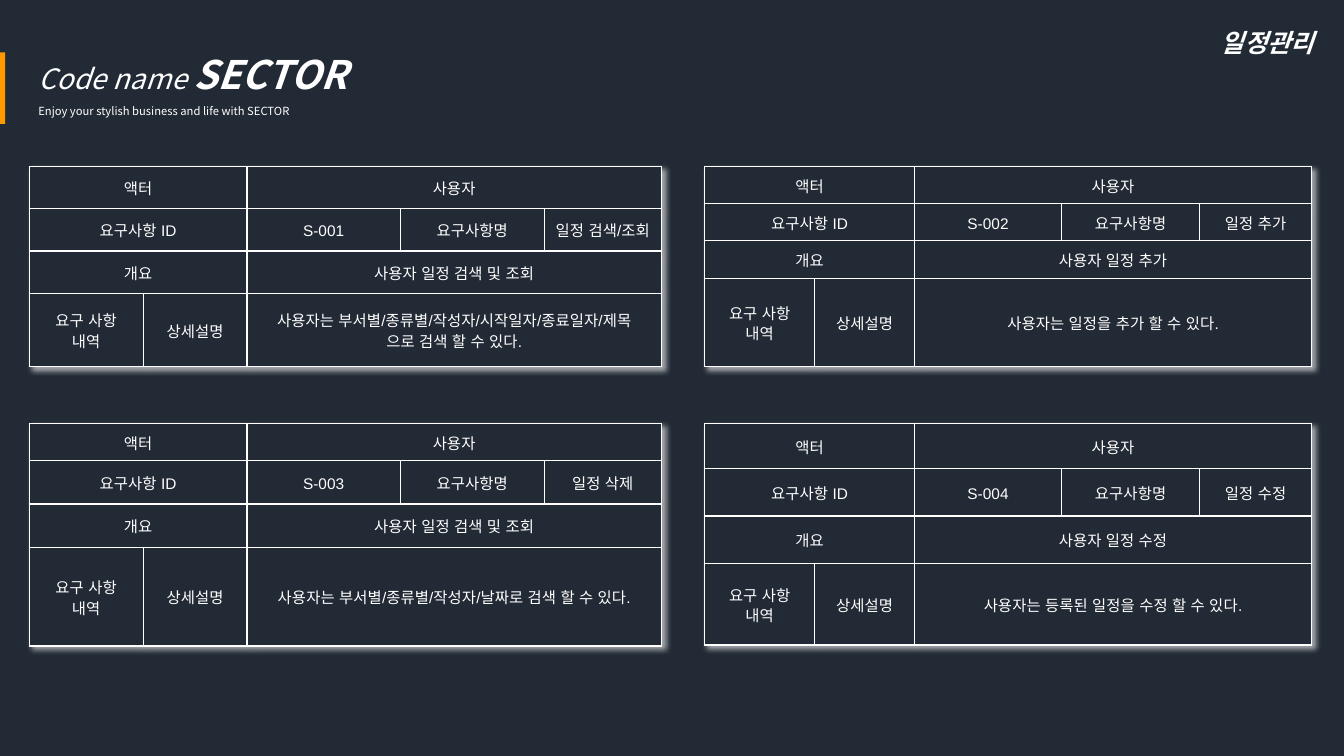
import pptx
import pptx.util
import pptx.dml.color
import pptx.enum.shapes
import pptx.enum.text
import pptx.oxml
import pptx.oxml.ns
import lxml.etree

Inches = pptx.util.Inches
Pt = pptx.util.Pt
RGBColor = pptx.dml.color.RGBColor
Align = pptx.enum.text.PP_ALIGN
Anchor = pptx.enum.text.MSO_ANCHOR

NAVY = RGBColor(0x22, 0x2A, 0x35)
ORANGE = RGBColor(0xFF, 0x99, 0x00)
WHITE = RGBColor(0xFF, 0xFF, 0xFF)
HEADING_FONT = "Noto Sans CJK KR"
TABLE_FONT = "Arial"
NAMESPACE = pptx.oxml.ns.nsdecls("a")

LEFT_COLUMNS = [1.13, 1.03, 1.52, 1.43, 1.16]
RIGHT_COLUMNS = [1.09, 0.99, 1.46, 1.37, 1.11]
LEFT, RIGHT = 0.29, 6.99
UPPER, LOWER = 1.65, 4.2

REQUIREMENTS = [
    (LEFT, UPPER, LEFT_COLUMNS, [0.42, 0.42, 0.42, 0.73],
     "S-001", "일정 검색/조회", "사용자 일정 검색 및 조회",
     ["사용자는 부서별/종류별/작성자/시작일자/종료일자/제목",
      "으로 검색 할 수 있다."]),
    (RIGHT, UPPER, RIGHT_COLUMNS, [0.37, 0.37, 0.37, 0.88],
     "S-002", "일정 추가", "사용자 일정 추가",
     ["사용자는 일정을 추가 할 수 있다."]),
    (LEFT, LOWER, LEFT_COLUMNS, [0.37, 0.43, 0.43, 0.98],
     "S-003", "일정 삭제", "사용자 일정 검색 및 조회",
     ["사용자는 부서별/종류별/작성자/날짜로 검색 할 수 있다."]),
    (RIGHT, LOWER, RIGHT_COLUMNS, [0.45, 0.47, 0.47, 0.81],
     "S-004", "일정 수정", "사용자 일정 수정",
     ["사용자는 등록된 일정을 수정 할 수 있다."]),
]


def add_span(para, text, size, font, bold=False, italic=False):
    span = para.add_run()
    span.text = text
    span.font.size = Pt(size)
    span.font.name = font
    span.font.bold = bold
    span.font.italic = italic
    span.font.color.rgb = WHITE
    east_asian = pptx.oxml.parse_xml(f'<a:ea {NAMESPACE} typeface="{font}"/>')
    span.font._element.find(pptx.oxml.ns.qn("a:latin")).addnext(east_asian)


def add_accent(page, left, top, width, height):
    bar = page.shapes.add_shape(
        pptx.enum.shapes.MSO_SHAPE.RECTANGLE,
        Inches(left), Inches(top), Inches(width), Inches(height))
    bar.shadow.inherit = False
    bar.fill.solid()
    bar.fill.fore_color.rgb = ORANGE
    bar.line.fill.background()


def fill_heading(page, left, top, width, height):
    box = page.shapes.title
    box.left, box.top = Inches(left), Inches(top)
    box.width, box.height = Inches(width), Inches(height)
    frame = box.text_frame
    frame.word_wrap = True
    frame.auto_size = pptx.enum.text.MSO_AUTO_SIZE.NONE
    frame.vertical_anchor = Anchor.TOP
    name, motto = frame.paragraphs[0], frame.add_paragraph()
    for para in (name, motto):
        para.alignment = Align.LEFT
        para.line_spacing = 1.5
        para.space_before = Pt(0)
    add_span(name, "Code name ", 20, HEADING_FONT, italic=True)
    add_span(name, "SECTOR", 28, HEADING_FONT, bold=True, italic=True)
    add_span(motto, "Enjoy your stylish business and life with SECTOR", 8, HEADING_FONT)


def add_topic(page, left, top, width, height):
    box = page.shapes.add_textbox(Inches(left), Inches(top), Inches(width), Inches(height))
    box.text_frame.word_wrap = False
    add_span(box.text_frame.paragraphs[0], "일정관리", 18, HEADING_FONT, bold=True, italic=True)


def format_cell(cell):
    cell.fill.solid()
    cell.fill.fore_color.rgb = NAVY
    cell.vertical_anchor = Anchor.MIDDLE
    cell.margin_left = cell.margin_right = Inches(0.07)
    cell.margin_top = cell.margin_bottom = Inches(0.07)
    properties = cell._tc.get_or_add_tcPr()
    for position, side in enumerate(("lnL", "lnR", "lnT", "lnB")):
        properties.insert(position, pptx.oxml.parse_xml(
            f'<a:{side} {NAMESPACE} w="12700"><a:solidFill>'
            f'<a:srgbClr val="{WHITE}"/></a:solidFill></a:{side}>'))


def write_cell(cell, lines):
    frame = cell.text_frame
    for number, line in enumerate(lines):
        para = frame.add_paragraph() if number else frame.paragraphs[0]
        para.alignment = Align.CENTER
        para.line_spacing = 1.2
        add_span(para, line, 11, TABLE_FONT)


def add_glow_shadow(table):
    table._tbl.tblPr.insert(0, pptx.oxml.parse_xml(
        f'<a:effectLst {NAMESPACE}><a:outerShdw blurRad="50800" dist="38100" '
        f'dir="2700000" algn="tl" rotWithShape="0"><a:srgbClr val="{WHITE}">'
        '<a:alpha val="60000"/></a:srgbClr></a:outerShdw></a:effectLst>'))


def add_requirement(page, left, top, columns, rows, code, name, summary, details):
    table = page.shapes.add_table(
        len(rows), len(columns), Inches(left), Inches(top),
        Inches(sum(columns)), Inches(sum(rows))).table
    table.first_row = table.horz_banding = False
    for column, width in zip(table.columns, columns):
        column.width = Inches(width)
    for row, height in zip(table.rows, rows):
        row.height = Inches(height)
    for cell in table.iter_cells():
        format_cell(cell)
    for row in range(3):
        table.cell(row, 0).merge(table.cell(row, 1))
    for row in (0, 2, 3):
        table.cell(row, 2).merge(table.cell(row, 4))
    contents = {
        (0, 0): ["액터"], (0, 2): ["사용자"],
        (1, 0): ["요구사항 ID"], (1, 2): [code], (1, 3): ["요구사항명"], (1, 4): [name],
        (2, 0): ["개요"], (2, 2): [summary],
        (3, 0): ["요구 사항", "내역"], (3, 1): ["상세설명"], (3, 2): details,
    }
    for (row, column), lines in contents.items():
        write_cell(table.cell(row, column), lines)
    add_glow_shadow(table)


def build_schedule_page(deck):
    page = deck.slides.add_slide(deck.slide_layouts[5])
    page.background.fill.solid()
    page.background.fill.fore_color.rgb = NAVY
    add_accent(page, 0, 0.52, 0.05, 0.71)
    fill_heading(page, 0.28, 0.22, 6.03, 1.01)
    for requirement in REQUIREMENTS:
        add_requirement(page, *requirement)
    add_topic(page, 12.01, 0.22, 1.21, 0.4)


deck = pptx.Presentation()
deck.slide_width = Inches(13.33)
deck.slide_height = Inches(7.5)
build_schedule_page(deck)
deck.save("out.pptx")
